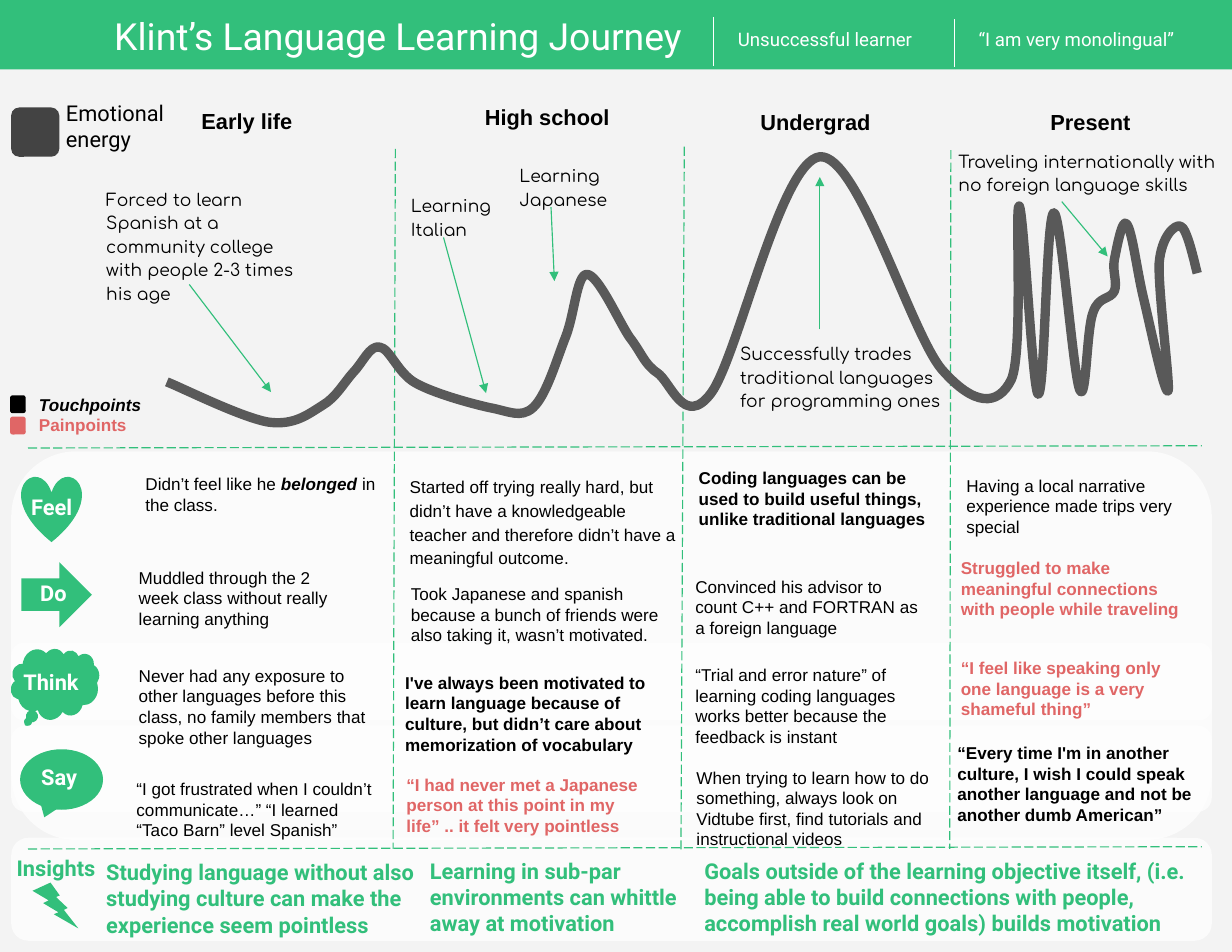
"""Build the one-page language learning journey map."""
from dataclasses import dataclass
from typing import NamedTuple

from lxml.etree import SubElement
from pptx import Presentation
from pptx.dml.color import RGBColor
from pptx.enum.dml import MSO_LINE
from pptx.enum.shapes import MSO_CONNECTOR, MSO_SHAPE
from pptx.enum.text import MSO_ANCHOR, MSO_AUTO_SIZE, PP_ALIGN
from pptx.oxml.ns import qn
from pptx.util import Inches, Pt

GREEN = RGBColor(0x32, 0xBF, 0x7B)
RED = RGBColor(0xE0, 0x66, 0x66)
WHITE = RGBColor(0xFF, 0xFF, 0xFF)
BLACK = RGBColor(0, 0, 0)
CHARCOAL = RGBColor(0x43, 0x43, 0x43)
CURVE_GRAY = RGBColor(0x59, 0x59, 0x59)
PAPER = RGBColor(0xF3, 0xF3, 0xF3)


class Box(NamedTuple):
    left: float
    top: float
    width: float
    height: float


@dataclass
class Run:
    text: str
    bold: bool = False
    italic: bool = False
    color: RGBColor = BLACK


@dataclass
class Cell:
    text: str | list[list[Run]]
    box: Box
    bold: bool = False
    color: RGBColor = BLACK
    anchor: MSO_ANCHOR = MSO_ANCHOR.TOP
    spacing: float = 1.0


@dataclass
class Icon:
    label: str
    preset: MSO_SHAPE
    box: Box
    label_box: Box
    label_color: RGBColor = WHITE
    rotation: float = 0


MIDDLE = MSO_ANCHOR.MIDDLE
PANELS = [(7.48, 0.92), (6.48, 0.77), (5.74, 0.69), (4.03, 3.47)]
ICONS = [
    Icon("Feel", MSO_SHAPE.HEART, Box(0.19, 4.25, 0.54, 0.59), Box(0.18, 4.31, 1.45, 0.41)),
    Icon("Do", MSO_SHAPE.RIGHT_ARROW, Box(0.19, 5.02, 0.63, 0.58), Box(0.26, 5.08, 1.07, 0.24)),
    Icon("Think", MSO_SHAPE.CLOUD_CALLOUT, Box(0.1, 5.78, 0.78, 0.65), Box(0.11, 5.87, 0.74, 0.54), rotation=13.3),
    Icon("Say", MSO_SHAPE.OVAL_CALLOUT, Box(0.18, 6.69, 0.74, 0.54), Box(0.27, 6.72, 1.07, 0.24)),
    Icon("Insights", MSO_SHAPE.LIGHTNING_BOLT, Box(0.29, 7.88, 0.41, 0.41), Box(0.05, 7.53, 1.45, 0.54), GREEN),
]
KEYS = [(Box(0.09, 3.72, 0.14, 0.16), RED), (Box(0.09, 3.53, 0.14, 0.16), BLACK),
        (Box(0.1, 0.96, 0.43, 0.44), CHARCOAL)]
DIVIDERS = [(0.25, 4, 10.73, 3.98), (0.25, 7.58, 10.73, 7.56), (3.53, 1.33, 3.51, 7.58),
            (6.11, 1.31, 6.08, 7.61), (8.49, 1.34, 8.48, 7.58)]
HEADER_RULES = [(6.37, 0.15, 6.37, 0.59), (8.52, 0.17, 8.52, 0.6)]
ARROWS = [(3.96, 2.12, 4.34, 3.51), (1.69, 2.54, 2.42, 3.5), (9.48, 1.8, 9.89, 2.29),
          (4.92, 1.85, 4.95, 2.51), (7.32, 2.94, 7.32, 1.58)]
STAGES = [("Early life", 1.7, 0.86), ("High school", 4.23, 0.83),
          ("Undergrad", 6.69, 0.87), ("Present", 9.28, 0.87)]
EVENTS = [
    ("Forced to learn\nSpanish at a community college with people 2-3 times his age", Box(0.35, 1.56, 2.43, 1.3)),
    ("Learning Italian", Box(3.07, 1.62, 1.76, 0.5)),
    ("Learning Japanese", Box(4.04, 1.35, 1.76, 0.5)),
    ("Successfully trades traditional languages for programming ones", Box(6.01, 2.94, 2.63, 0.5)),
    ("Traveling internationally with no foreign language skills", Box(7.96, 1.22, 3.04, 0.58)),
]
CELLS = [
    Cell([[Run("Didn’t feel like he "), Run("belonged", True, True), Run(" in the class.")]],
         Box(1.2, 4.13, 2.28, 0.58)),
    Cell("Muddled through the 2 week class without really learning anything",
         Box(1.14, 5.05, 2.11, 0.58), anchor=MIDDLE),
    Cell("Never had any exposure to other languages before this class, no family members that spoke other languages",
         Box(1.14, 5.84, 2.36, 0.58)),
    Cell("“I got frustrated when I couldn’t communicate…” “I learned “Taco Barn” level Spanish”",
         Box(1.12, 6.85, 2.36, 0.69)),
    Cell("Started off trying really hard, but didn’t have a knowledgeable teacher and therefore didn’t have a "
         "meaningful outcome.", Box(3.56, 4.13, 2.63, 1.19), spacing=1.15),
    Cell("Took Japanese and spanish because a bunch of friends were also taking it, wasn’t motivated.",
         Box(3.57, 5.11, 2.53, 0.77)),
    Cell("I've always been motivated to learn language because of culture, but didn’t care about memorization "
         "of vocabulary", Box(3.52, 6.1, 2.43, 0.54), True, anchor=MIDDLE),
    Cell("“I had never met a Japanese person at this point in my life” .. it felt very pointless",
         Box(3.53, 6.81, 2.36, 0.69), True, RED),
    Cell("Coding languages can be used to build useful things, unlike traditional languages",
         Box(6.14, 4.18, 2.43, 0.54), True, anchor=MIDDLE),
    Cell("Convinced his advisor to count C++ and FORTRAN as a foreign language",
         Box(6.11, 5.13, 2.28, 0.58), anchor=MIDDLE),
    Cell("“Trial and error nature” of learning coding languages works better because the feedback is instant",
         Box(6.11, 6.01, 2.21, 0.58), anchor=MIDDLE),
    Cell("When trying to learn how to do something, always look on Vidtube first, find tutorials and "
         "instructional videos", Box(6.12, 6.75, 2.28, 0.69)),
    Cell("Having a local narrative experience made trips very special", Box(8.53, 4.14, 2.43, 0.69)),
    Cell("Struggled to make meaningful connections with people while traveling",
         Box(8.48, 4.88, 2.21, 0.69), True, RED),
    Cell("“I feel like speaking only one language is a very shameful thing”",
         Box(8.48, 5.77, 2.21, 0.69), True, RED),
    Cell("“Every time I'm in another culture, I wish I could speak another language and not be another dumb "
         "American”", Box(8.45, 6.65, 2.36, 0.69), True, anchor=MIDDLE),
    Cell([[Run("Touchpoints", True, True)], [Run("Painpoints", True, color=RED)]], Box(0.25, 3.42, 2.63, 1.21)),
]
INSIGHTS = [
    ("Studying language without also studying culture can make the experience seem pointless",
     Box(0.85, 7.57, 3.58, 0.58)),
    ("Learning in sub-par environments can whittle away at motivation", Box(3.74, 7.56, 2.53, 0.81)),
    ("Goals outside of the learning objective itself, (i.e. being able to build connections with people, "
     "accomplish real world goals) builds motivation", Box(6.19, 7.56, 4.64, 0.81)),
]
ENERGY = [
    (1.49, 3.41), (1.64, 3.47), (2.16, 3.73), (2.4, 3.77), (2.63, 3.8), (2.75, 3.7), (2.88, 3.62),
    (3, 3.55), (3.07, 3.42), (3.15, 3.33), (3.24, 3.24), (3.3, 3.08), (3.39, 3.1),
    (3.48, 3.11), (3.55, 3.33), (3.71, 3.42), (3.87, 3.51), (4.19, 3.6), (4.37, 3.64),
    (4.54, 3.67), (4.65, 3.74), (4.76, 3.64), (4.88, 3.53), (4.97, 3.21), (5.05, 3.01),
    (5.13, 2.81), (5.15, 2.45), (5.24, 2.45), (5.34, 2.45), (5.52, 2.86), (5.62, 3.01),
    (5.73, 3.15), (5.75, 3.25), (5.87, 3.33), (5.99, 3.41), (6.11, 3.83), (6.35, 3.51),
    (6.59, 3.18), (6.97, 1.44), (7.32, 1.4), (7.66, 1.37), (8.13, 2.97), (8.41, 3.3),
    (8.7, 3.63), (8.91, 3.63), (9.03, 3.39), (9.14, 3.14), (9.06, 1.82), (9.1, 1.84),
    (9.14, 1.86), (9.22, 3.51), (9.27, 3.52), (9.33, 3.53), (9.34, 1.91), (9.41, 1.9),
    (9.47, 1.89), (9.58, 3.33), (9.64, 3.48), (9.7, 3.62), (9.7, 2.94), (9.76, 2.79),
    (9.81, 2.64), (9.91, 2.68), (9.95, 2.6), (9.98, 2.52), (9.93, 2.42), (9.95, 2.32),
    (9.97, 2.22), (10.02, 1.94), (10.06, 2), (10.11, 2.06), (10.15, 2.41), (10.21, 2.66),
    (10.27, 2.91), (10.4, 3.54), (10.43, 3.49), (10.45, 3.44), (10.34, 2.6), (10.35, 2.35),
    (10.37, 2.11), (10.49, 2), (10.54, 2.02), (10.6, 2.03), (10.67, 2.37), (10.69, 2.44),
]


def write(slide, text, box: Box, *, size: float = 11, font: str = "Arial", color: RGBColor = BLACK,
          bold: bool = False, anchor: MSO_ANCHOR = MSO_ANCHOR.TOP, spacing: float = 1.0,
          indent: float = 0, holder=None) -> None:
    holder = holder or slide.shapes.add_textbox(0, 0, 0, 0)
    holder.left, holder.top, holder.width, holder.height = map(Inches, box)
    frame = holder.text_frame
    frame.word_wrap, frame.auto_size, frame.vertical_anchor = True, MSO_AUTO_SIZE.NONE, anchor
    frame.margin_left = frame.margin_right = frame.margin_top = frame.margin_bottom = Inches(0.1)
    if isinstance(text, str):
        text = [[Run(line, bold, color=color)] for line in text.split("\n")]
    for index, runs in enumerate(text):
        paragraph = frame.add_paragraph() if index else frame.paragraphs[0]
        paragraph.alignment, paragraph.line_spacing = PP_ALIGN.LEFT, spacing
        if indent:
            properties = paragraph._p.get_or_add_pPr()
            properties.set("marL", str(Inches(indent)))
            properties.set("indent", "0")
        for part in runs:
            run = paragraph.add_run()
            run.text = part.text
            run.font.name, run.font.size = font, Pt(size)
            run.font.bold, run.font.italic = part.bold, part.italic
            run.font.color.rgb = part.color


def draw_shape(slide, preset: MSO_SHAPE, box: Box, color: RGBColor, alpha: int = 100):
    shape = slide.shapes.add_shape(preset, *map(Inches, box))
    shape.shadow.inherit = False
    shape.fill.solid()
    shape.fill.fore_color.rgb = color
    shape.line.fill.background()
    if alpha < 100:
        SubElement(shape._element.spPr.find(f".//{qn('a:srgbClr')}"), qn("a:alpha")).set("val", str(alpha * 1000))
    return shape


def draw_line(slide, ends: tuple, color: RGBColor = GREEN, dashed: bool = False, arrow: bool = False) -> None:
    connector = slide.shapes.add_connector(MSO_CONNECTOR.STRAIGHT, *map(Inches, ends))
    connector.line.color.rgb, connector.line.width = color, Pt(0.75)
    if dashed:
        connector.line.dash_style = MSO_LINE.LONG_DASH
    if arrow:
        SubElement(connector.line._get_or_add_ln(), qn("a:tailEnd")).set("type", "triangle")
    SubElement(connector._element.spPr, qn("a:effectLst"))


def draw_energy_curve(slide) -> None:
    points = [(Inches(x), Inches(y)) for x, y in ENERGY]
    builder = slide.shapes.build_freeform(*points[0])
    builder.add_line_segments(points[1:], close=False)
    curve = builder.convert_to_shape()
    curve.shadow.inherit = False
    curve.fill.background()
    curve.line.color.rgb, curve.line.width = CURVE_GRAY, Pt(6)
    outline = curve._element.spPr.find(f".//{qn('a:path')}")
    segments = outline.findall(qn("a:lnTo"))
    for start in range(0, len(segments), 3):
        bezier = SubElement(outline, qn("a:cubicBezTo"))
        for segment in segments[start:start + 3]:
            bezier.append(segment[0])
            outline.remove(segment)


def main() -> None:
    deck = Presentation()
    deck.slide_width, deck.slide_height = Inches(11), Inches(8.5)
    slide = deck.slides.add_slide(deck.slide_layouts[5])
    slide.background.fill.solid()
    slide.background.fill.fore_color.rgb = PAPER
    for top, height in PANELS:
        draw_shape(slide, MSO_SHAPE.ROUNDED_RECTANGLE, Box(0.1, top, 10.72, height), WHITE, alpha=73)
    banner = draw_shape(slide, MSO_SHAPE.RECTANGLE, Box(0, -0.07, 11, 0.69), GREEN)
    title = slide.shapes.title
    banner._element.addnext(title._element)
    write(slide, "Klint’s Language Learning Journey", Box(0.92, 0.02, 5.73, 0.69),
          size=24, font="Roboto", color=WHITE, holder=title)
    for text, left in [("Unsuccessful learner", 6.49), ("“I am very monolingual”", 8.64)]:
        write(slide, text, Box(left, 0.15, 2.3, 0.4), size=12, font="Roboto", color=WHITE)
    for ends in HEADER_RULES:
        draw_line(slide, ends, WHITE)
    for ends in DIVIDERS:
        draw_line(slide, ends, dashed=True)
    for icon in ICONS:
        draw_shape(slide, icon.preset, icon.box, GREEN).rotation = icon.rotation
        write(slide, icon.label, icon.label_box, size=14, font="Roboto", color=icon.label_color, bold=True)
    for box, color in KEYS:
        draw_shape(slide, MSO_SHAPE.ROUNDED_RECTANGLE, box, color)
    write(slide, "Emotional energy", Box(0.49, 0.79, 1.11, 0.44), size=14, font="Roboto")
    for stage, left, top in STAGES:
        write(slide, stage, Box(left, top, 1.45, 0.54), size=14, bold=True)
    for cell in CELLS:
        write(slide, cell.text, cell.box, color=cell.color, bold=cell.bold, anchor=cell.anchor, spacing=cell.spacing)
    for insight, box in INSIGHTS:
        write(slide, insight, box, size=14, font="Roboto", color=GREEN, bold=True)
    draw_energy_curve(slide)
    for event, box in EVENTS:
        write(slide, event, box, font="Comfortaa", spacing=1.15, indent=0.5)
    for ends in ARROWS:
        draw_line(slide, ends, arrow=True)
    deck.save("out.pptx")


if __name__ == "__main__":
    main()
